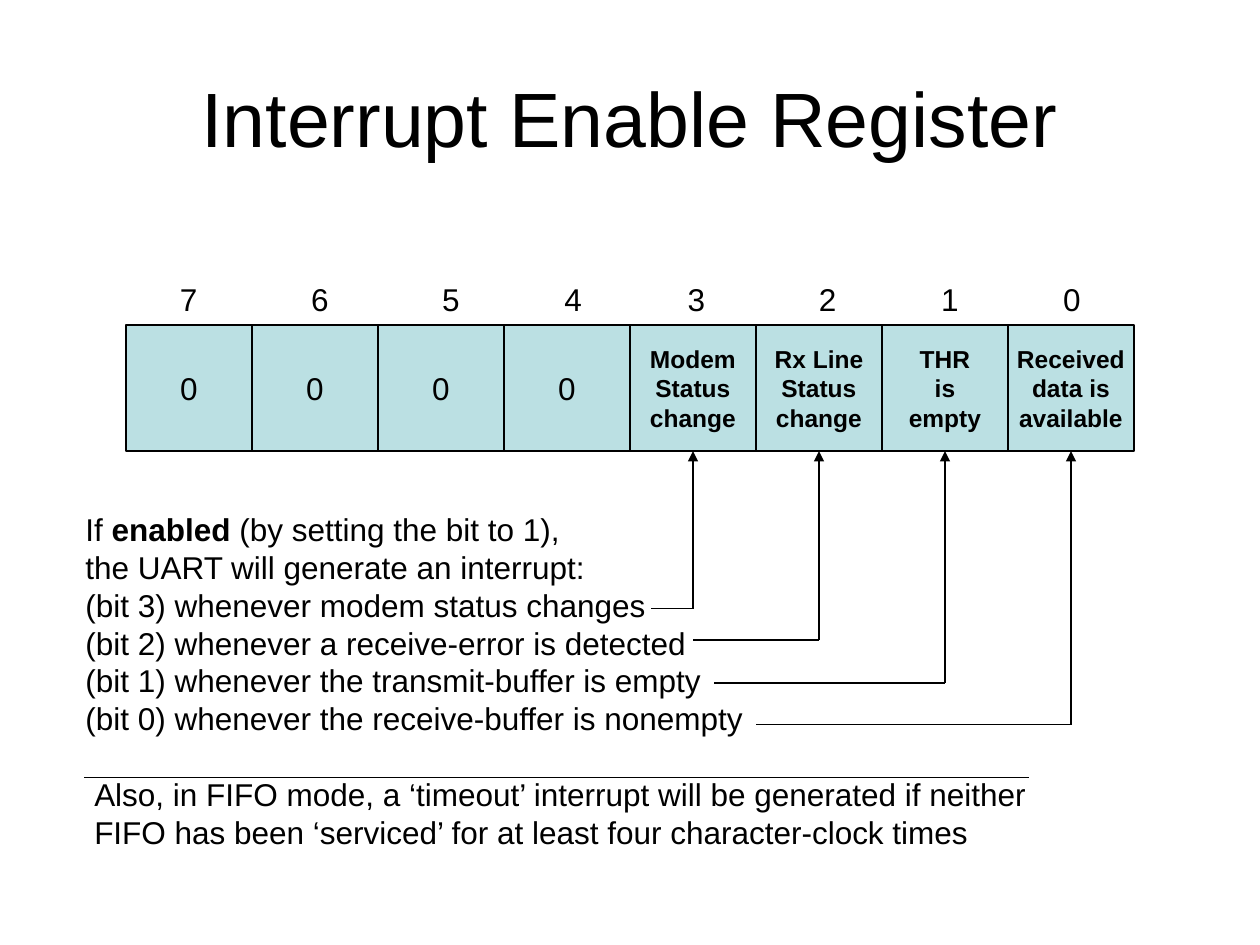
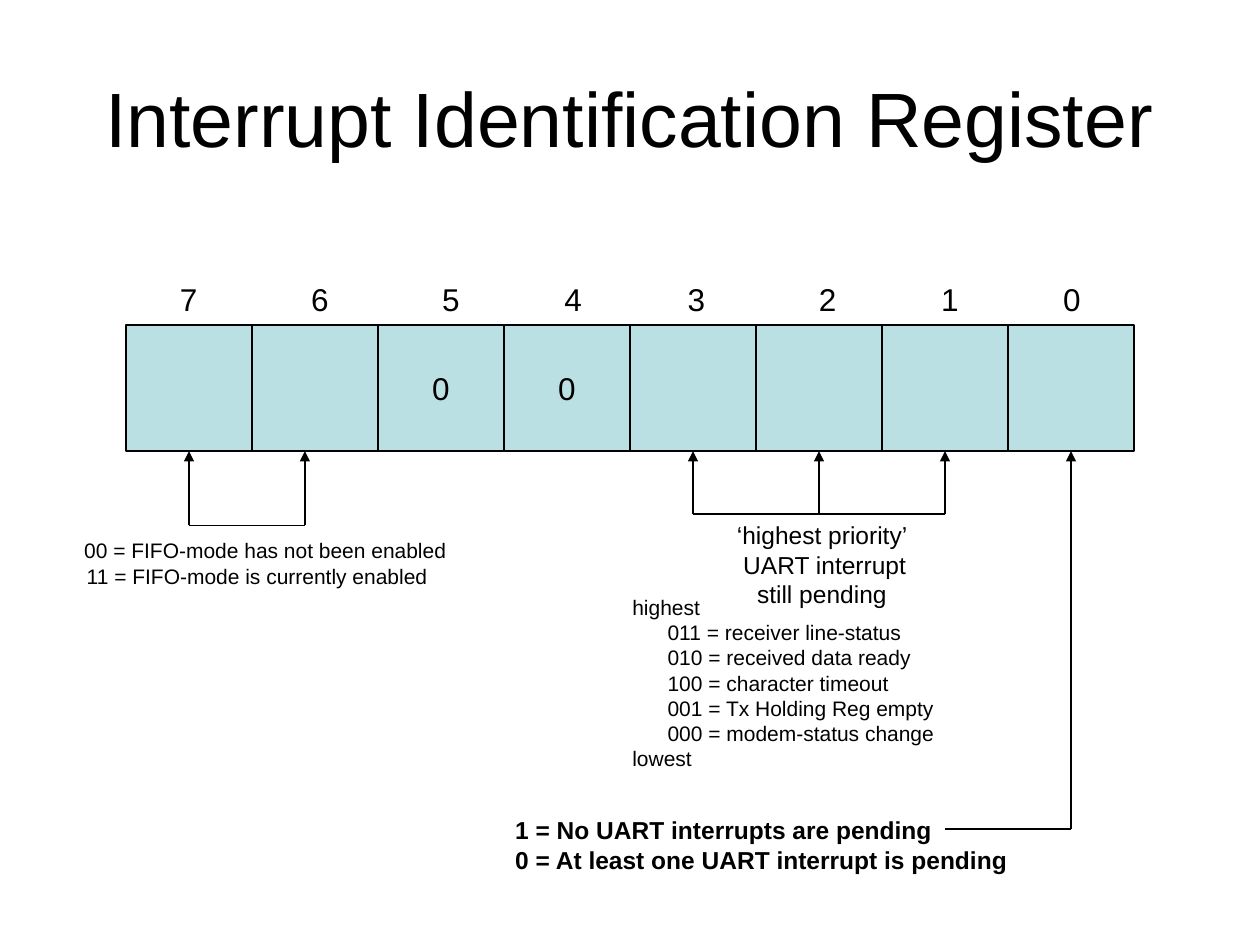
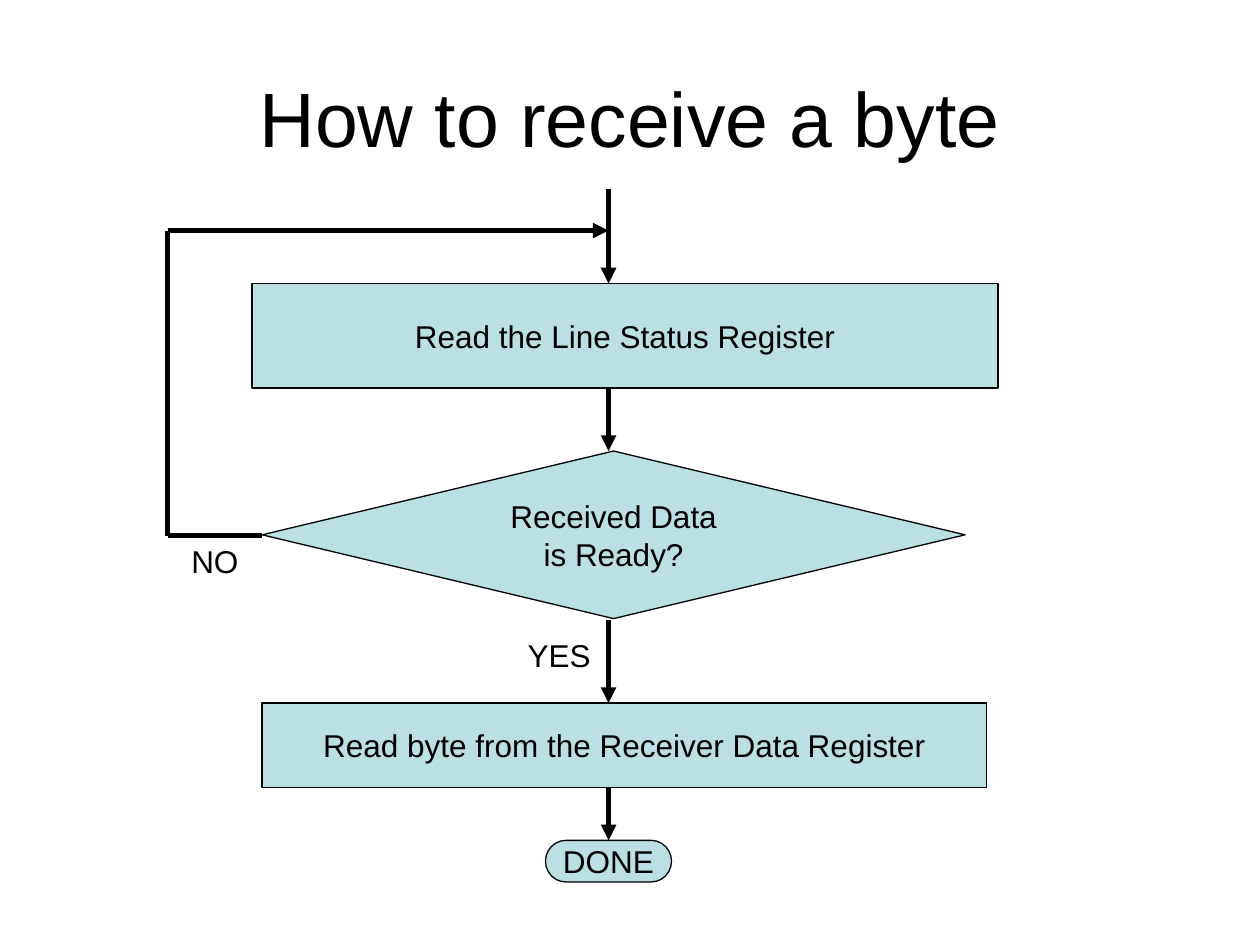
import dataclasses

import lxml.etree
import pptx
import pptx.dml.color
import pptx.enum.shapes
import pptx.enum.text
import pptx.oxml
import pptx.oxml.ns
import pptx.util

Inches = pptx.util.Inches
Pt = pptx.util.Pt
Kind = pptx.enum.shapes.MSO_SHAPE
Anchor = pptx.enum.text.MSO_ANCHOR
Align = pptx.enum.text.PP_ALIGN
qn = pptx.oxml.ns.qn


@dataclasses.dataclass(frozen=True)
class Theme:
    font: str = "Arial"
    ink: pptx.dml.color.RGBColor = pptx.dml.color.RGBColor(0, 0, 0)
    panel: pptx.dml.color.RGBColor = pptx.dml.color.RGBColor(0xBB, 0xE0, 0xE3)
    title: int = 44
    body: int = 18
    label: int = 14
    small: int = 12
    thin: float = 0.75
    thick: float = 3


theme = Theme()


def fill_text(box, text, size, bold=False, centred=False, indents=()):
    frame = box.text_frame
    frame.word_wrap = not centred
    frame.margin_right = Inches(0.1 if centred else 0)
    frame.vertical_anchor = Anchor.MIDDLE if centred else Anchor.TOP
    frame.text = text
    for para in frame.paragraphs:
        para.alignment = Align.CENTER if centred else Align.LEFT
        parts = para.text.split("*")
        para.text = parts[0]
        for part in parts[1:]:
            para.add_run().text = part
        for number, span in enumerate(para.runs):
            span.font.name = theme.font
            span.font.size = Pt(size)
            span.font.bold = bold or number % 2 == 1
            span.font.color.rgb = theme.ink
    for para, indent in zip(frame.paragraphs, indents):
        para._p.get_or_add_pPr().set("marL", str(Inches(indent)))


def draw_line(page, start, end, width=theme.thin, arrow=False):
    line = page.shapes.add_connector(
        pptx.enum.shapes.MSO_CONNECTOR.STRAIGHT, *map(Inches, start + end))
    line.line.color.rgb = theme.ink
    line.line.width = Pt(width)
    if arrow:
        lxml.etree.SubElement(line.line._get_or_add_ln(), qn("a:tailEnd"), type="triangle")
    lxml.etree.SubElement(line._element.spPr, qn("a:effectLst"))


deck = pptx.Presentation()
deck.slide_width = Inches(10)
deck.slide_height = Inches(7.5)

pages = []
for title in ["Interrupt Enable Register", "Interrupt Identification Register",
              "How to receive a byte"]:
    page = deck.slides.add_slide(deck.slide_layouts[6])
    box = page.shapes.add_textbox(*map(Inches, (0.5, 0.3, 9, 1.25)))
    fill_text(box, title, theme.title, centred=True)
    pages.append(page)
enable_page, identify_page, receive_page = pages

enable_cells = ["0", "0", "0", "0", "Modem\nStatus\nchange", "Rx Line\nStatus\nchange",
                "THR\nis\nempty", "Received\ndata is\navailable"]
identify_cells = ["", "", "0", "0", "", "", "", ""]
register_top, register_bottom = 2.58, 3.58
flow_x = 4.83

panels = [
    (page, Kind.RECTANGLE, (1 + column, register_top, 1, 1), text)
    for page, cells in [(enable_page, enable_cells), (identify_page, identify_cells)]
    for column, text in enumerate(cells)
] + [
    (receive_page, Kind.RECTANGLE, (2, 2.25, 5.92, 0.83), "Read the Line Status Register"),
    (receive_page, Kind.FLOWCHART_PROCESS, (2.08, 5.58, 5.75, 0.67),
     "Read byte from the Receiver Data Register"),
    (receive_page, Kind.FLOWCHART_DECISION, (2.08, 3.58, 5.58, 1.33),
     "Received Data\nis Ready?"),
    (receive_page, Kind.FLOWCHART_TERMINATOR, (4.33, 6.67, 1, 0.33), "DONE"),
]
for page, kind, place, text in panels:
    panel = page.shapes.add_shape(kind, *map(Inches, place))
    panel.shadow.inherit = False
    panel.fill.solid()
    panel.fill.fore_color.rgb = theme.panel
    panel.line.color.rgb = theme.ink
    panel.line.width = Pt(theme.thin)
    if text:
        named_bit = page is enable_page and text != "0"
        fill_text(panel, text, theme.label if named_bit else theme.body,
                  bold=named_bit, centred=True)

for page in [enable_page, identify_page]:
    bits = page.shapes.add_textbox(*map(Inches, (1.33, 2.17, 7.35, 0.4)))
    fill_text(bits, "\t".join("76543210"), theme.body)
    tabs = lxml.etree.SubElement(
        bits.text_frame.paragraphs[0]._p.get_or_add_pPr(), qn("a:tabLst"))
    for stop in [1.04, 2.08, 3.05, 4.03, 5.07, 6.04, 7.01]:
        lxml.etree.SubElement(tabs, qn("a:tab"), pos=str(Inches(stop)), algn="l")

meaning = enable_page.shapes.add_textbox(*map(Inches, (0.58, 4, 7.74, 2.8)))
fill_text(meaning, """If *enabled* (by setting the bit to 1),
the UART will generate an interrupt:
(bit 3) whenever modem status changes
(bit 2) whenever a receive-error is detected
(bit 1) whenever the transmit-buffer is empty
(bit 0) whenever the receive-buffer is nonempty
Also, in FIFO mode, a ‘timeout’ interrupt will be generated if neither
FIFO has been ‘serviced’ for at least four character-clock times""",
          theme.body, indents=[0] * 6 + [0.07] * 2)
meaning.text_frame.paragraphs[6].space_before = Pt(22)

draw_line(enable_page, (0.67, 6.17), (8.17, 6.17))
for bit_x, text_x, y in [(5.5, 5.17, 4.83), (6.5, 5.5, 5.08), (7.5, 5.67, 5.42), (8.5, 6, 5.75)]:
    draw_line(enable_page, (bit_x, y), (bit_x, register_bottom), arrow=True)
    draw_line(enable_page, (text_x, y), (bit_x, y))

for y, bit_xs, join_x in [(4.17, [1.5, 2.42], 2.42), (4.08, [5.5, 6.5, 7.5], 7.5),
                          (6.58, [8.5], 7.5)]:
    for bit_x in bit_xs:
        draw_line(identify_page, (bit_x, y), (bit_x, register_bottom), arrow=True)
    draw_line(identify_page, (bit_xs[0], y), (join_x, y))

notes = [
    (identify_page, (0.5, 4.22, 3.14, 0.5),
     "00 = FIFO-mode has not been enabled\n11 = FIFO-mode is currently enabled",
     theme.small, False, [0.07, 0.09]),
    (identify_page, (3.99, 6.42, 4.11, 0.57),
     "1 = No UART interrupts are pending\n0 = At least one UART interrupt is pending",
     theme.label, True, []),
    (identify_page, (5.75, 4.08, 1.61, 0.8),
     "‘highest priority’\nUART interrupt\nstill pending",
     theme.label, False, [0, 0.05, 0.16]),
    (identify_page, (4.92, 4.67, 2.59, 1.8),
     "highest\n011 = receiver line-status\n010 = received data ready\n"
     "100 = character timeout\n001 = Tx Holding Reg empty\n"
     "000 = modem-status change\nlowest",
     theme.small, False, [0] + [0.28] * 5 + [0]),
    (receive_page, (1.42, 4.25, 0.57, 0.4), "NO", theme.body, False, []),
    (receive_page, (4.09, 5, 0.7, 0.4), "YES", theme.body, False, []),
]
for page, place, text, size, bold, indents in notes:
    box = page.shapes.add_textbox(*map(Inches, place))
    fill_text(box, text, size, bold=bold, indents=indents)

for top, bottom in [(1.5, 2.25), (3.08, 3.58), (4.92, 5.58), (6.25, 6.67)]:
    draw_line(receive_page, (flow_x, top), (flow_x, bottom), theme.thick, arrow=True)
draw_line(receive_page, (2.08, 4.25), (1.33, 4.25), theme.thick)
draw_line(receive_page, (1.33, 1.83), (1.33, 4.25), theme.thick)
draw_line(receive_page, (1.33, 1.83), (flow_x, 1.83), theme.thick, arrow=True)

deck.save("out.pptx")
